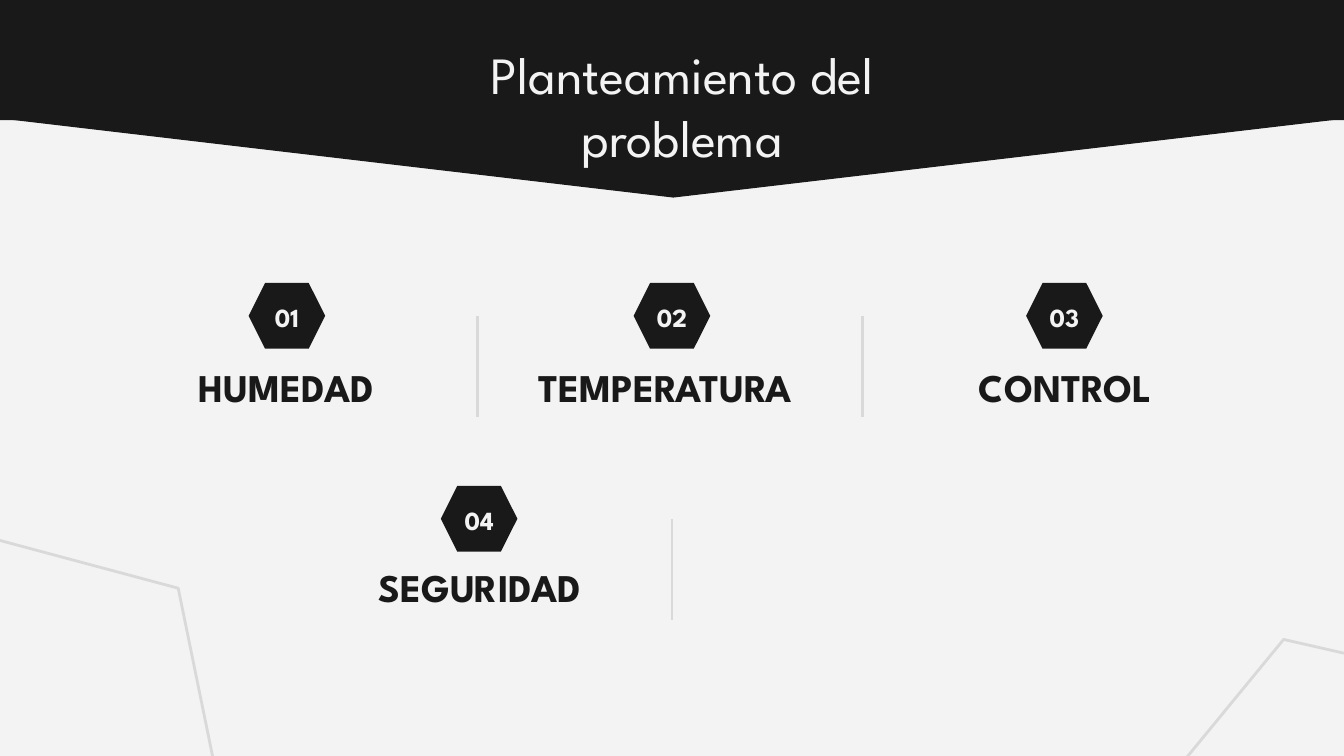
from pptx import Presentation
from pptx.dml.color import RGBColor
from pptx.enum.shapes import MSO_CONNECTOR, MSO_SHAPE
from pptx.enum.text import MSO_ANCHOR, MSO_AUTO_SIZE, PP_ALIGN
from pptx.oxml.ns import qn
from pptx.util import Pt
from lxml import etree

PX = 4572  # 200 px to the inch
FONT = "League Spartan"
DARK = RGBColor(0x19, 0x19, 0x19)
LIGHT = RGBColor(0xF3, 0xF3, 0xF3)
GREY = RGBColor(0xD9, 0xD9, 0xD9)


def emu(*lengths):
    return [n * PX for n in lengths]


def add_shape(s, kind, box, fill=None, line=None, width=0.75, rotation=0):
    sp = s.shapes.add_shape(kind, *emu(*box))
    sp.shadow.inherit = False
    sp.rotation = rotation
    if fill is None:
        sp.fill.background()
    else:
        sp.fill.solid()
        sp.fill.fore_color.rgb = fill
    if line is None:
        sp.line.fill.background()
    else:
        sp.line.color.rgb = line
        sp.line.width = Pt(width)
    return sp


def set_text(sp, text, size, color, bold=False, anchor=MSO_ANCHOR.MIDDLE):
    tf = sp.text_frame
    tf.word_wrap = True
    tf.auto_size = MSO_AUTO_SIZE.NONE
    tf.vertical_anchor = anchor
    tf.margin_left = tf.margin_right = tf.margin_top = tf.margin_bottom = 20 * PX
    p = tf.paragraphs[0]
    p.text = text
    p.alignment = PP_ALIGN.CENTER
    p.font.name = FONT
    p.font.size = Pt(size)
    p.font.bold = bold
    p.font.color.rgb = color


def add_header(s, x, y, w, title):
    # Band with a point below it
    add_shape(s, MSO_SHAPE.ISOSCELES_TRIANGLE, (x, y + 183, w, 118),
              DARK, DARK, rotation=180)
    add_shape(s, MSO_SHAPE.RECTANGLE, (x, y, w, 187), DARK)
    # Title, brought in front of the band
    sp = s.shapes.title
    s.shapes._spTree.append(sp._element)
    sp.left, sp.top, sp.width, sp.height = emu(x + 603, y + 51, 828, 150)
    set_text(sp, title, 28, LIGHT, anchor=MSO_ANCHOR.TOP)


def add_item(s, x, y, number, label, label_dx, label_dy, label_w):
    add_shape(s, MSO_SHAPE.HEXAGON, (x, y, 114, 98), DARK)
    set_text(s.shapes.add_textbox(*emu(x - 25, y + 18, 164, 66)),
             number, 14, LIGHT, bold=True)
    set_text(s.shapes.add_textbox(*emu(x + label_dx, y + label_dy, label_w, 126)),
             label, 21, DARK, bold=True)


def add_divider(s, x, y, h):
    line = s.shapes.add_connector(MSO_CONNECTOR.STRAIGHT, *emu(x, y, x, y + h))
    line.line.color.rgb = GREY
    line.line.width = Pt(1.5)
    etree.SubElement(line._element.spPr, qn("a:effectLst"))


def add_corner_hexagon(s, x, y, rotation):
    add_shape(s, MSO_SHAPE.HEXAGON, (x, y, 646, 506),
              line=GREY, width=1.5, rotation=rotation)


def main():
    prs = Presentation()
    prs.slide_width, prs.slide_height = emu(2000, 1125)
    s = prs.slides.add_slide(prs.slide_layouts[5])
    s.background.fill.solid()
    s.background.fill.fore_color.rgb = LIGHT

    add_header(s, -2, -8, 2008, "Planteamiento del problema")

    # Numbered items in two rows
    row1, row2 = 421, 723
    items = [
        (370, row1, "HUMEDAD", -119, 92, 350),
        (943, row1, "TEMPERATURA", -200, 92, 494),
        (1527, row1, "CONTROL", -117, 92, 350),
        (656, row2, "SEGURIDAD", -146, 87, 408),
    ]
    for i, (x, y, label, dx, dy, w) in enumerate(items, 1):
        add_item(s, x, y, f"{i:02}", label, dx, dy, w)

    for x, y in [(710, row1), (1284, row1), (1000, row2)]:
        add_divider(s, x, y + 49, 150)

    # Outlines cut by the lower corners
    add_corner_hexagon(s, -313, 816, 15)
    add_corner_hexagon(s, 1658, 1011, 309.4)

    prs.save("out.pptx")


if __name__ == "__main__":
    main()
